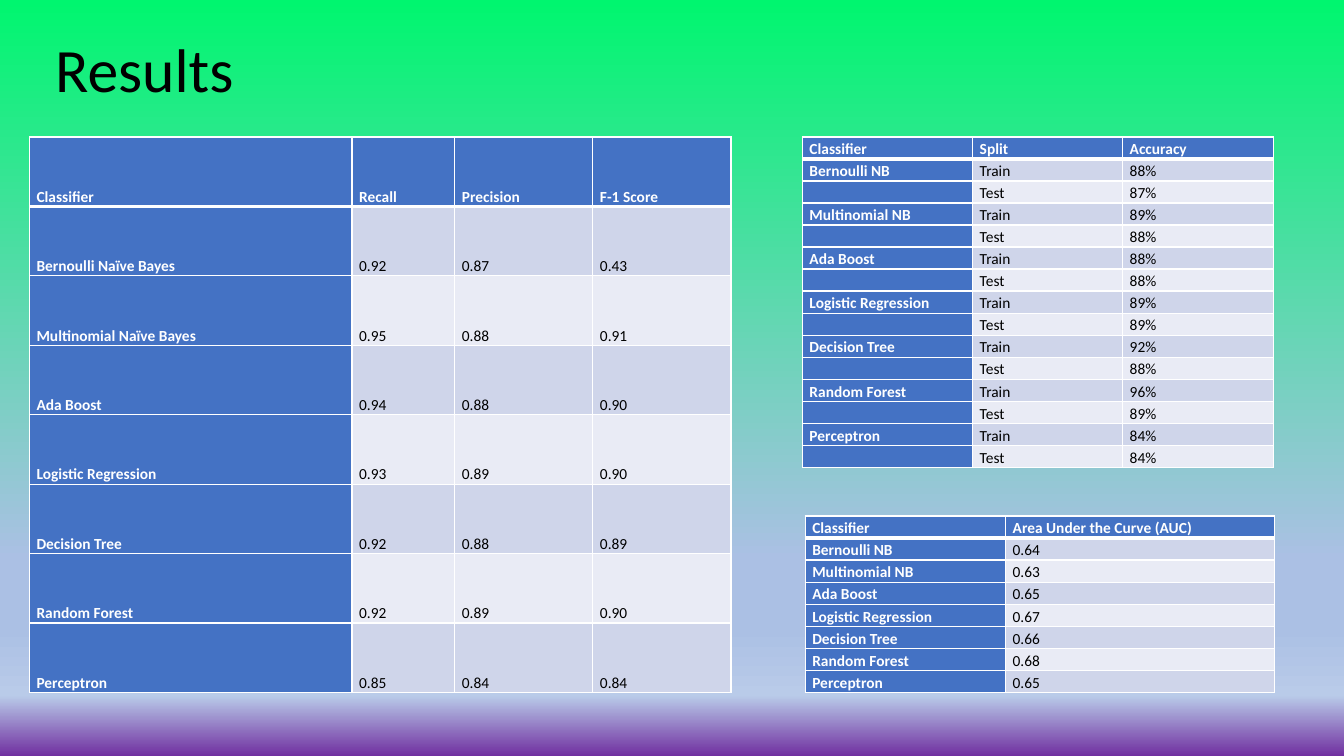
from lxml.etree import SubElement
from pptx import Presentation
from pptx.dml.color import RGBColor as RGB
from pptx.enum.text import MSO_ANCHOR as ANCHOR
from pptx.oxml.ns import qn
from pptx.util import Cm, Pt

COLORS = {
    "black": "000000", "white": "FFFFFF", "blue": "4472C4",
    "band_dark": "CFD5EA", "band_light": "E9EBF5",
    "green": "00F66F", "sky": "ABC0E4", "pale_sky": "B9CBE9", "purple": "7030A0",
}


def add_text(tf, text, size=11, color="black", bold=False, spacing=1.07):
    p = tf.paragraphs[0]
    p.line_spacing = spacing
    if not text:
        # Keeps the row of an empty cell at its small height
        SubElement(p._p, qn("a:endParaRPr"), sz=str(size * 100))
        return
    r = p.add_run()
    r.text = text
    r.font.name = "Calibri"
    r.font.size = Pt(size)
    r.font.bold = bold
    r.font.color.rgb = RGB.from_string(COLORS[color])


def add_border(cell, side, width):
    ln = SubElement(cell._tc.get_or_add_tcPr(), qn(f"a:ln{side}"), w=str(Pt(width)))
    fill = SubElement(ln, qn("a:solidFill"))
    SubElement(fill, qn("a:srgbClr"), val=COLORS["white"])


prs = Presentation()
prs.slide_width, prs.slide_height = Cm(33.87), Cm(19.05)
s = prs.slides.add_slide(prs.slide_layouts[6])

# Background gradient, top to bottom
bg = s.background.fill
bg.gradient()
bg.gradient_angle = 270
stops = next(s._element.iter(qn("a:gsLst")))
for stop in list(stops):
    stops.remove(stop)
for pos, name in [(0, "green"), (74, "sky"), (83, "sky"), (92, "pale_sky"), (100, "purple")]:
    stop = SubElement(stops, qn("a:gs"), pos=str(pos * 1000))
    SubElement(stop, qn("a:srgbClr"), val=COLORS[name])

# Title
tf = s.shapes.add_textbox(Cm(1.14), Cm(0), Cm(29.21), Cm(3.68)).text_frame
tf.word_wrap = True
tf.vertical_anchor = ANCHOR.MIDDLE
add_text(tf, "Results", size=44, spacing=0.9)

# Table contents
scores = [
    ("Classifier", "Recall", "Precision", "F-1 Score"),
    ("Bernoulli Naïve Bayes", "0.92", "0.87", "0.43"),
    ("Multinomial Naïve Bayes", "0.95", "0.88", "0.91"),
    ("Ada Boost", "0.94", "0.88", "0.90"),
    ("Logistic Regression", "0.93", "0.89", "0.90"),
    ("Decision Tree", "0.92", "0.88", "0.89"),
    ("Random Forest", "0.92", "0.89", "0.90"),
    ("Perceptron", "0.85", "0.84", "0.84"),
]
results = [  # classifier, train accuracy, test accuracy, AUC
    ("Bernoulli NB", "88%", "87%", "0.64"),
    ("Multinomial NB", "89%", "88%", "0.63"),
    ("Ada Boost", "88%", "88%", "0.65"),
    ("Logistic Regression", "89%", "89%", "0.67"),
    ("Decision Tree", "92%", "88%", "0.66"),
    ("Random Forest", "96%", "89%", "0.68"),
    ("Perceptron", "84%", "84%", "0.65"),
]
accuracy = [("Classifier", "Split", "Accuracy")]
auc = [("Classifier", "Area Under the Curve (AUC)")]
for name, train, test, area in results:
    accuracy += [(name, "Train", train), ("", "Test", test)]
    auc.append((name, area))

# Tables: rows, left, top, height, column widths
tables = [
    (scores, 0.74, 3.45, 14, (8.13, 2.59, 3.48, 3.48)),
    (accuracy, 20.22, 3.45, 8.33, (4.29, 3.78, 3.81)),
    (auc, 20.29, 13, 4.45, (5.05, 6.78)),
]
for rows, left, top, height, widths in tables:
    frame = s.shapes.add_table(len(rows), len(widths), Cm(left), Cm(top),
                               Cm(sum(widths)), Cm(height))
    table = frame.table
    table.first_col = True
    for col, width in zip(table.columns, widths):
        col.width = Cm(width)
    for i, row in enumerate(rows):
        table.rows[i].height = Cm(height / len(rows))
        for j, text in enumerate(row):
            cell = table.cell(i, j)
            heading = i == 0 or j == 0
            cell.margin_left = cell.margin_right = Cm(0.18)
            cell.margin_top = cell.margin_bottom = 0
            cell.vertical_anchor = ANCHOR.BOTTOM
            add_text(cell.text_frame, text, bold=heading,
                     color="white" if heading else "black")
            # A thick rule separates the header from the body
            for side in "LRTB":
                thick = (i, side) in [(0, "B"), (1, "T")]
                add_border(cell, side, 3 if thick else 1)
            band = "band_dark" if i % 2 else "band_light"
            cell.fill.solid()
            cell.fill.fore_color.rgb = RGB.from_string(COLORS["blue" if heading else band])

prs.save("out.pptx")
